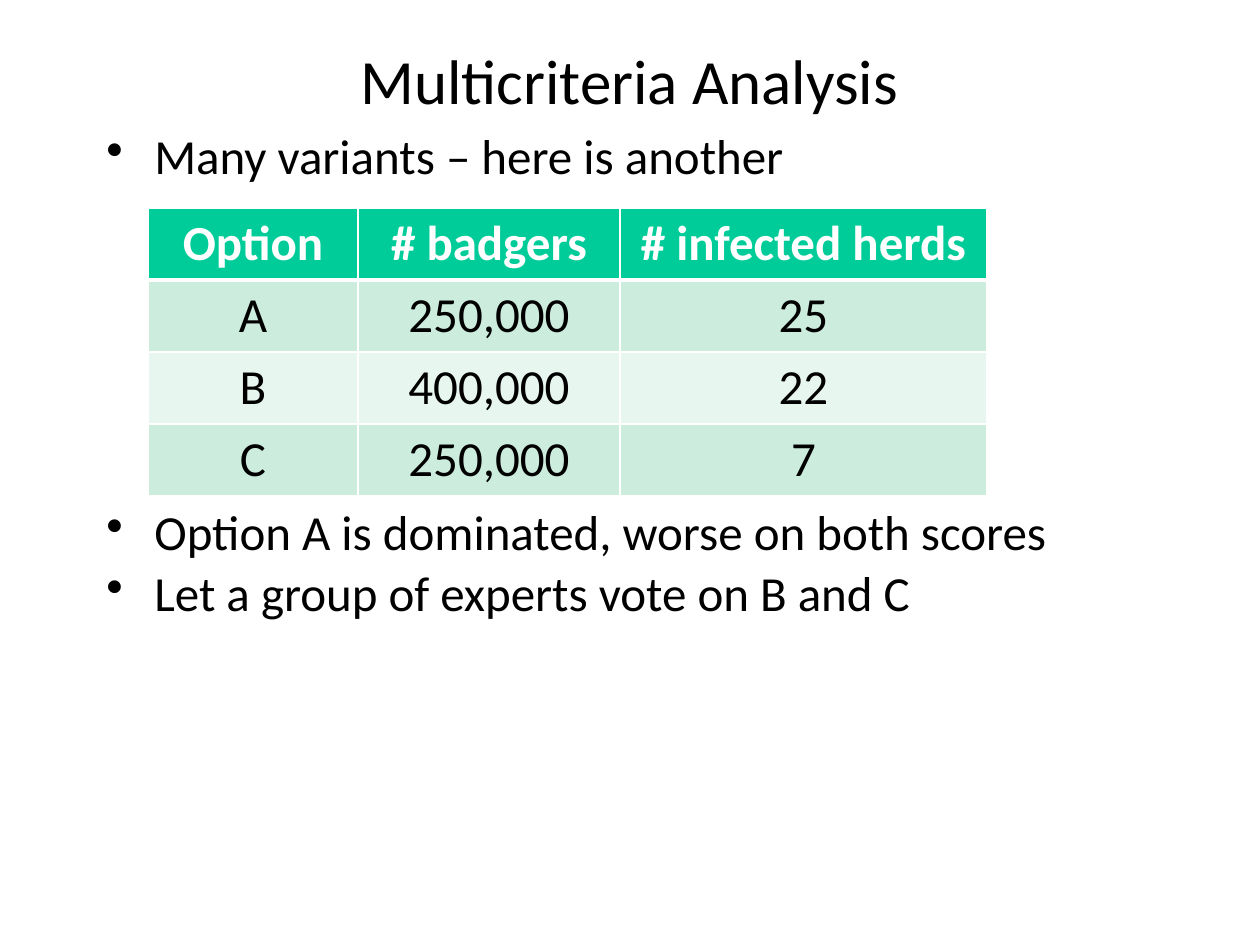
from dataclasses import dataclass

from lxml import etree
from pptx import Presentation
from pptx import util as u
from pptx.dml.color import RGBColor
from pptx.enum import text
from pptx.oxml import ns

EMU_PER_PX = 914400 / 126
FONT = "Calibri"
COLORS = {
    "ink": "000000",
    "white": "FFFFFF",
    "header": "00CC99",
    "band_dark": "CCECDE",
    "band_light": "E7F6EF",
}


@dataclass
class Box:
    left: int
    top: int
    width: int
    height: int


@dataclass
class Bullet:
    words: str
    space_before: float


TITLE_BOX = Box(94, 0, 1071, 158)
BODY_BOX = Box(94, 126, 1071, 735)
BULLET_INDENT = 48

# The second bullet starts below the table
BULLETS = [
    Bullet("Many variants – here is another", 0),
    Bullet("Option A is dominated, worse on both scores", 184.7),
    Bullet("Let a group of experts vote on B and C", 4.7),
]

TABLE_LEFT, TABLE_TOP = 148, 208
COLUMN_WIDTHS = [210, 262, 367]
ROW_HEIGHT = 72
ROWS = [
    ("Option", "# badgers", "# infected herds"),
    ("A", "250,000", "25"),
    ("B", "400,000", "22"),
    ("C", "250,000", "7"),
]


def px(length: int) -> u.Emu:
    return u.Emu(round(length * EMU_PER_PX))


def rgb(name: str) -> RGBColor:
    return RGBColor.from_string(COLORS[name])


def style(paragraph, size: int, color: str = "ink", bold: bool = False) -> None:
    font = paragraph.font
    font.name, font.size, font.bold = FONT, u.Pt(size), bold
    font.color.rgb = rgb(color)


def add_frame(slide, box: Box):
    shape = slide.shapes.add_textbox(
        px(box.left), px(box.top), px(box.width), px(box.height))
    shape.text_frame.word_wrap = True
    return shape.text_frame


def add_title(slide, words: str) -> None:
    frame = add_frame(slide, TITLE_BOX)
    frame.vertical_anchor = text.MSO_ANCHOR.MIDDLE
    paragraph = frame.paragraphs[0]
    paragraph.text = words
    paragraph.alignment = text.PP_ALIGN.CENTER
    style(paragraph, 36)


def add_bullets(slide, bullets: list[Bullet]) -> None:
    frame = add_frame(slide, BODY_BOX)
    for index, bullet in enumerate(bullets):
        paragraph = frame.add_paragraph() if index else frame.paragraphs[0]
        paragraph.text = bullet.words
        paragraph.line_spacing = 0.9
        paragraph.space_before = u.Pt(bullet.space_before)
        style(paragraph, 28)
        properties = paragraph._p.get_or_add_pPr()
        properties.set("marL", str(px(BULLET_INDENT)))
        properties.set("indent", str(-px(BULLET_INDENT)))
        mark = etree.Element(ns.qn("a:buChar"), char="•")
        properties.insert_element_before(mark, "a:tabLst", "a:defRPr", "a:extLst")


def add_border(cell, side: str, points: int) -> None:
    line = etree.SubElement(
        cell._tc.get_or_add_tcPr(), ns.qn(f"a:ln{side}"), w=str(u.Pt(points)))
    fill = etree.SubElement(line, ns.qn("a:solidFill"))
    etree.SubElement(fill, ns.qn("a:srgbClr"), val=COLORS["white"])


def fill_cell(cell, words: str, row: int) -> None:
    is_header = row == 0
    # Borders come before the fill in the cell properties
    widths = {"L": 1, "R": 1, "T": 3 if row == 1 else 1, "B": 3 if is_header else 1}
    for side, points in widths.items():
        add_border(cell, side, points)
    cell.fill.solid()
    band = "band_dark" if row % 2 else "band_light"
    cell.fill.fore_color.rgb = rgb("header" if is_header else band)
    paragraph = cell.text_frame.paragraphs[0]
    paragraph.text = words
    paragraph.alignment = text.PP_ALIGN.CENTER
    style(paragraph, 28, "white" if is_header else "ink", is_header)


def add_score_table(slide) -> None:
    table = slide.shapes.add_table(
        len(ROWS), len(COLUMN_WIDTHS), px(TABLE_LEFT), px(TABLE_TOP),
        px(sum(COLUMN_WIDTHS)), px(ROW_HEIGHT * len(ROWS))).table
    for column, width in zip(table.columns, COLUMN_WIDTHS):
        column.width = px(width)
    for row, values in enumerate(ROWS):
        table.rows[row].height = px(ROW_HEIGHT)
        for column, words in enumerate(values):
            fill_cell(table.cell(row, column), words, row)


def main() -> None:
    presentation = Presentation()
    presentation.slide_width, presentation.slide_height = px(1260), px(945)
    slide = presentation.slides.add_slide(presentation.slide_layouts[6])
    add_title(slide, "Multicriteria Analysis")
    add_bullets(slide, BULLETS)
    add_score_table(slide)
    presentation.save("out.pptx")


if __name__ == "__main__":
    main()
